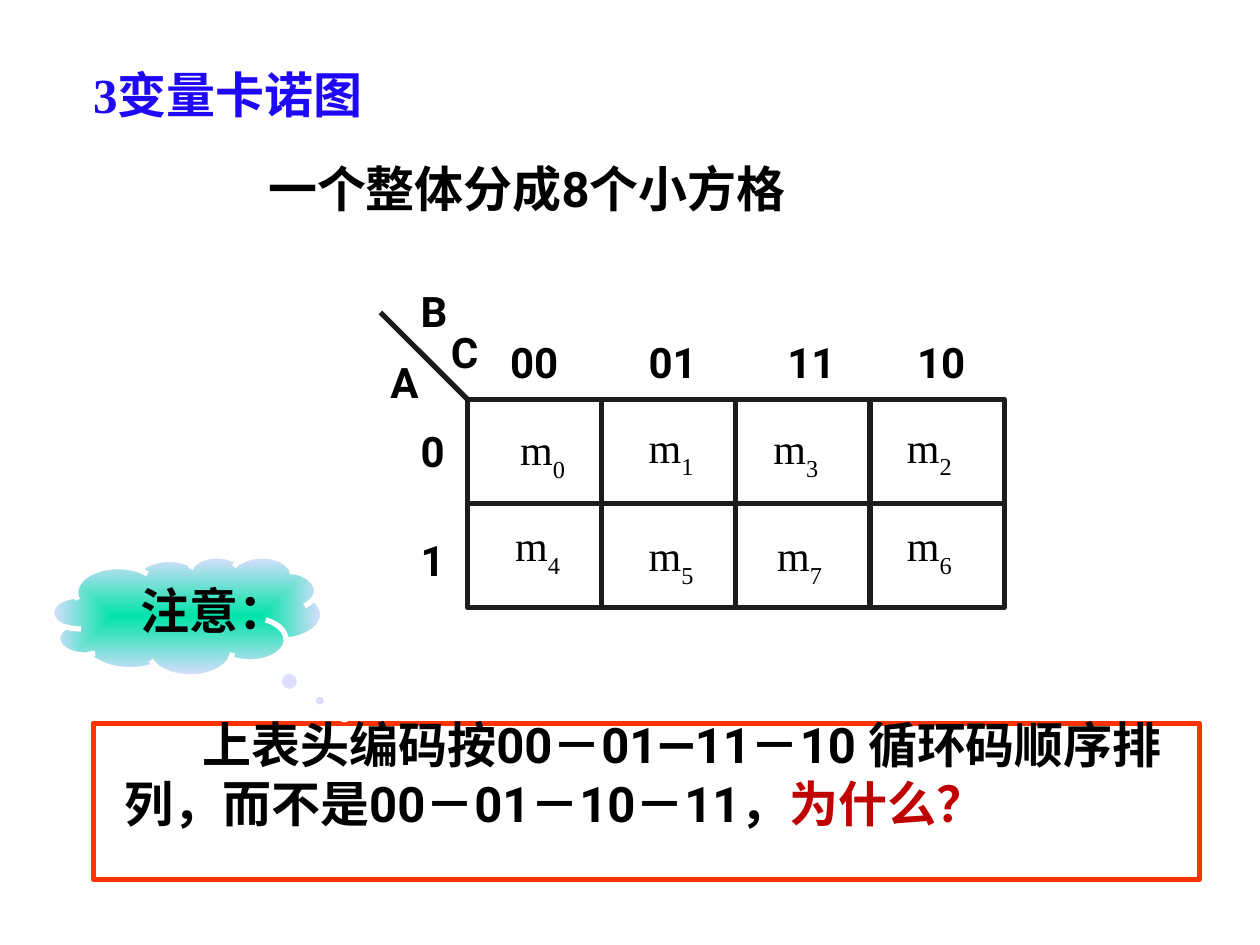
"""Build a slide on the three-variable Karnaugh map."""
from lxml import etree
from pptx import Presentation
from pptx.dml.color import RGBColor as Rgb
from pptx.enum.shapes import MSO_CONNECTOR as Conn, MSO_SHAPE as Kind
from pptx.enum.text import MSO_ANCHOR as Anchor, PP_ALIGN as Align
from pptx.oxml import parse_xml
from pptx.oxml.ns import nsdecls, qn
from pptx.util import Inches, Pt

HEX = {"white": "FFFFFF", "black": "000000", "blue": "1F08F8", "ink": "1C1C1C",
       "frame": "FF3300", "red": "C00000", "mint": "00E4A8", "lilac": "DDDDFF"}
SANS, SERIF = "Roboto", "Times New Roman"

TITLE = "3变量卡诺图"
LEAD = "一个整体分成8个小方格"
NOTE = "注意："
RULE = "上表头编码按00－01―11－10 循环码顺序排列，而不是00－01－10－11，"
ASK = "为什么？"
AXES = [("B", 3.24, 2.22), ("C", 3.48, 2.54), ("A", 3, 2.78)]
ROWS = [("0", 3.33), ("1", 4.19)]
COLS = [("00", 3.95), ("01", 5.05), ("11", 6.15), ("10", 7.18)]
TERMS = [("0", 4.03, 3.35), ("1", 5.05, 3.33), ("3", 6.04, 3.34), ("2", 7.1, 3.33),
         ("4", 3.99, 4.11), ("5", 5.05, 4.19), ("7", 6.07, 4.19), ("6", 7.1, 4.11)]
LEFT, TOP, WIDE, HIGH = 3.71, 3.17, 1.065, 0.825

deck = Presentation()
deck.slide_width, deck.slide_height = Inches(10), Inches(7.5)
slide = deck.slides.add_slide(deck.slide_layouts[6])
slide.background.fill.solid()
slide.background.fill.fore_color.rgb = Rgb.from_string(HEX["white"])


def write(box, *runs, size=28, font=SANS, bold=True, color="black",
          anchor=Anchor.TOP, align=Align.LEFT, wrap=True):
    """Fill a shape with runs, each a text or a (text, color, baseline) tuple."""
    frame = box.text_frame
    frame.word_wrap, frame.vertical_anchor = wrap, anchor
    para = frame.paragraphs[0]
    para.alignment = align
    for item in runs:
        text, tone, base = (item, color, 0) if isinstance(item, str) else item
        run = para.add_run()
        run.text = text
        run.font.size, run.font.name, run.font.bold = Pt(size), font, bold
        run.font.color.rgb = Rgb.from_string(HEX[tone])
        if base:
            run.font._element.set("baseline", str(base))
    return frame


def area(x, y, w, h):
    return slide.shapes.add_textbox(*map(Inches, (x, y, w, h)))


def stroke(item, color):
    item.line.color.rgb = Rgb.from_string(HEX[color])
    item.line.width = Pt(3)


def shape(kind, x, y, w, h, line, fill=None):
    item = slide.shapes.add_shape(kind, *map(Inches, (x, y, w, h)))
    item.shadow.inherit = False
    stroke(item, line)
    if fill:
        item.fill.solid()
        item.fill.fore_color.rgb = Rgb.from_string(HEX[fill])
    else:
        item.fill.background()
    return item


def rule(x1, y1, x2, y2):
    item = slide.shapes.add_connector(Conn.STRAIGHT, *map(Inches, (x1, y1, x2, y2)))
    stroke(item, "ink")
    etree.SubElement(item._element.spPr, qn("a:effectLst"))


shape(Kind.RECTANGLE, 0.74, 5.74, 8.78, 1.24, "frame", "white")
write(area(0.64, 0.48, 2.52, 0.55), TITLE, font=SERIF, color="blue",
      anchor=Anchor.BOTTOM, wrap=False)
write(area(2.03, 1.21, 4.47, 0.57), LEAD, anchor=Anchor.MIDDLE)

xs = [LEFT + WIDE * i for i in range(len(COLS) + 1)]
ys = [TOP + HIGH * i for i in range(len(ROWS) + 1)]
for y in ys[:-1]:
    for x in xs[:-1]:
        shape(Kind.RECTANGLE, x, y, WIDE, HIGH, "ink")
for y in ys:
    rule(xs[0], y, xs[-1], y)
for x in xs:
    rule(x, ys[0], x, ys[-1])
rule(3.02, 2.48, LEFT, TOP)

for text, x, y in AXES:
    write(area(x, y, 0.47, 0.5), text, size=24)
for text, y in ROWS:
    write(area(3.24, y, 0.63, 0.5), text, size=24)
for text, x in COLS:
    write(area(x, 2.62, 0.63, 0.5), text, size=24)
for sub, x, y in TERMS:
    write(area(x, y, 0.67, 0.5), "m", (sub, "black", -30000), size=24,
          font=SERIF, bold=False, anchor=Anchor.MIDDLE)

cloud = shape(Kind.CLOUD_CALLOUT, 0.41, 4.41, 2.15, 0.96, "white")
cloud.adjustments[0], cloud.adjustments[1] = 0.581, 0.83
cloud.fill.gradient()
for stop, tone in zip(cloud.fill.gradient_stops, ("mint", "lilac")):
    stop.color.rgb = Rgb.from_string(HEX[tone])
lin = cloud._element.spPr.find(".//" + qn("a:lin"))
lin.getparent().replace(lin, parse_xml(
    f'<a:path {nsdecls("a")} path="rect">'
    '<a:fillToRect l="50000" t="50000" r="50000" b="50000"/></a:path>'))
frame = write(cloud, NOTE, align=Align.CENTER, wrap=False)
frame.margin_left, frame.margin_right = Inches(0.58), 0

frame = write(area(0.89, 5.84, 8.48, 1.04), RULE, (ASK, "red", 0), anchor=Anchor.MIDDLE)
frame.margin_bottom = Inches(0.49)
frame.paragraphs[0]._p.get_or_add_pPr().set("indent", str(Inches(0.62)))

deck.save("out.pptx")
